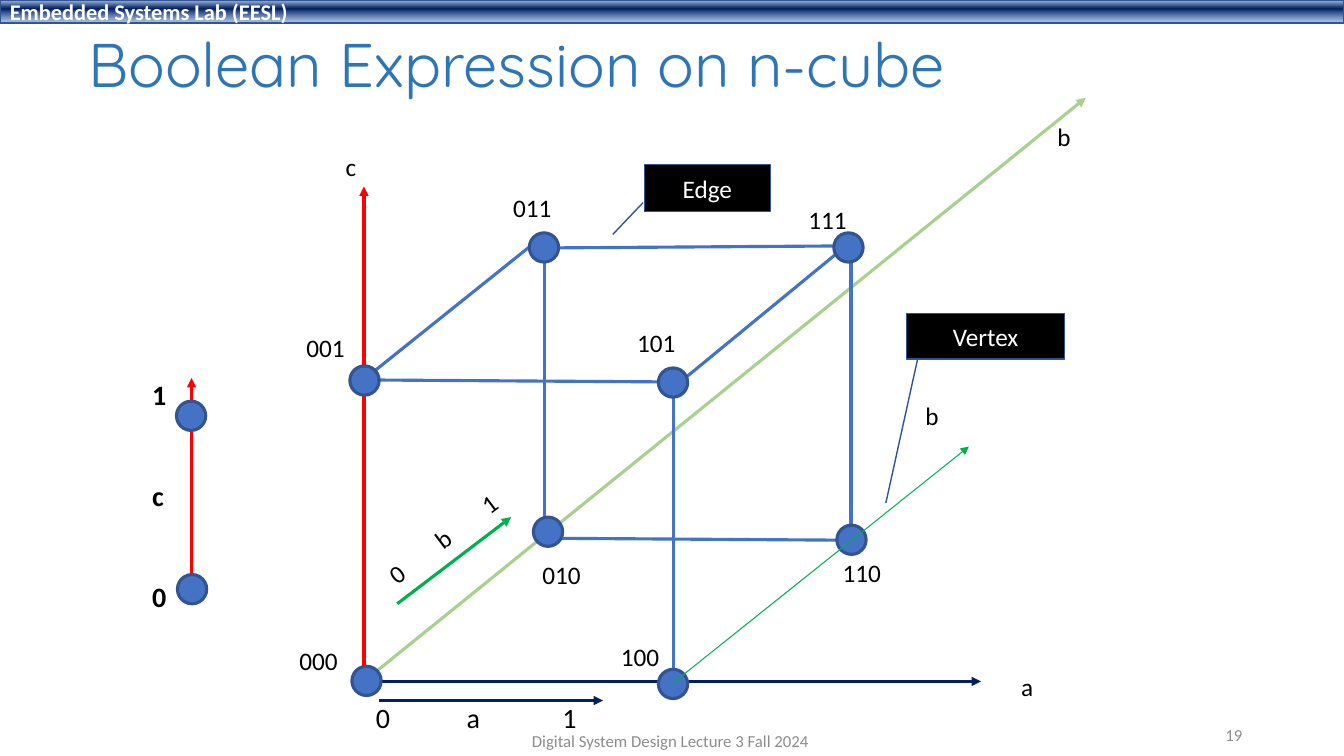
from copy import deepcopy

from lxml import etree
from pptx import Presentation
from pptx import util as u
from pptx.dml.color import RGBColor
from pptx.enum import shapes, text
from pptx.oxml.ns import qn

COLORS = {
    "navy": "002060", "title": "2E75B6", "grey": "8C8C8C", "black": "000000",
    "white": "FFFFFF", "red": "FF0000", "blue": "4472C4", "outline": "325491",
    "green": "00B050", "light green": "A9D18E",
    "bar top": "ABC0E4", "bar bottom": "7E9ED6",
}
BAR_STOPS = [("bar top", 0.02), ("navy", 0.38), ("bar bottom", 0.93)]
DOT = 0.29

# vertex code: (left, top of dot), (left, top of label)
VERTICES = {
    "000": ((3.49, 6.61), (2.87, 6.35)),
    "100": ((6.53, 6.64), (6.06, 6.31)),
    "010": ((5.29, 5.13), (5.28, 5.5)),
    "110": ((8.3, 5.21), (8.26, 5.48)),
    "001": ((3.47, 3.63), (2.94, 3.25)),
    "101": ((6.53, 3.65), (6.22, 3.2)),
    "011": ((5.25, 2.31), (4.99, 1.86)),
    "111": ((8.27, 2.31), (7.92, 1.98)),
}
EDGES = [
    ((6.68, 3.94), (6.68, 6.78)), ((8.44, 2.51), (8.44, 5.35)),
    ((5.4, 2.47), (5.4, 5.3)), ((3.69, 3.77), (6.75, 3.79)),
    ((5.4, 2.46), (8.35, 2.44)), ((5.44, 5.34), (8.5, 5.36)),
    ((3.69, 3.7), (5.25, 2.45)), ((6.65, 3.87), (8.39, 2.44)),
]
ARROWS = [
    ((3.61, 6.76), (3.61, 1.85), "red"),
    ((3.63, 6.76), (9.73, 6.76), "navy"),
    ((3.61, 6.76), (10.77, 0.97), "light green"),
    ((1.9, 5.87), (1.9, 3.75), "red"),
    ((3.76, 6.95), (5.98, 6.95), "navy"),
    ((3.94, 5.99), (5.07, 5.13), "green"),
]
AXIS_NAMES = [("a", 10.03, 6.61), ("b", 10.39, 1.15), ("b", 9.08, 3.92), ("c", 3.33, 1.45)]
AXIS_DOTS = [(1.76, 5.7), (1.75, 3.98)]
CALLOUTS = [
    ("Vertex", (8.99, 3.11, 1.57, 0.45), (1.02, 0.07, 4.18, -0.13)),
    ("Edge", (6.39, 1.63, 1.25, 0.47), (0.81, -0.01, 1.48, -0.25)),
]


def rgb(name):
    return RGBColor.from_string(COLORS[name])


class Board:
    """Draws on one slide in one style; lengths are in inches."""

    def __init__(self, slide, font="Calibri"):
        self.shapes = slide.shapes
        self.font = font

    def fill_text(self, sp, lines, size=18, color="black", bold=False, font=None,
                  align=text.PP_ALIGN.LEFT, anchor=text.MSO_ANCHOR.TOP,
                  wrap=True, gap=0, spacing=None, tabs=()):
        tf = sp.text_frame
        tf.word_wrap, tf.vertical_anchor = wrap, anchor
        look = {"name": font or self.font, "size": u.Pt(size), "bold": bold}
        for i, line in enumerate(lines):
            p = tf.add_paragraph() if i else tf.paragraphs[0]
            p.alignment = align
            if spacing:
                p.line_spacing = spacing
            if i and gap:
                p.space_before = u.Pt(gap)
            if tabs:
                stops = etree.SubElement(p._p.get_or_add_pPr(), qn("a:tabLst"))
                for tab in tabs:
                    etree.SubElement(stops, qn("a:tab"), pos=str(u.Inches(tab)), algn="l")
            r = p.add_run()
            r.text = line
            for key, value in look.items():
                setattr(r.font, key, value)
            r.font.color.rgb = rgb(color)

    def label(self, box, *lines, rotation=0, **style):
        sp = self.shapes.add_textbox(*map(u.Inches, box))
        sp.rotation = rotation
        self.fill_text(sp, lines, **style)

    def shape(self, kind, box, fill, width=1.0):
        sp = self.shapes.add_shape(kind, *map(u.Inches, box))
        sp.shadow.inherit = False
        sp.fill.solid()
        sp.fill.fore_color.rgb = rgb(fill)
        sp.line.color.rgb = rgb("outline")
        sp.line.width = u.Pt(width)
        return sp

    def dot(self, left, top):
        self.shape(shapes.MSO_SHAPE.OVAL, (left, top, DOT, DOT), "blue", 2.25)

    def line(self, start, end, color, width=2.25, arrow=False):
        cx = self.shapes.add_connector(
            shapes.MSO_CONNECTOR.STRAIGHT, *map(u.Inches, start + end))
        cx.line.color.rgb = rgb(color)
        cx.line.width = u.Pt(width)
        if arrow:
            etree.SubElement(cx.line._get_or_add_ln(), qn("a:tailEnd"), type="triangle")
        etree.SubElement(cx._element.spPr, qn("a:effectLst"))

    def callout(self, name, box, adjustments):
        sp = self.shape(shapes.MSO_SHAPE.LINE_CALLOUT_1, box, "black")
        for i, value in enumerate(adjustments):
            sp.adjustments[i] = value
        self.fill_text(sp, [name], color="white", align=text.PP_ALIGN.CENTER,
                       anchor=text.MSO_ANCHOR.MIDDLE)

    def header_bar(self, title):
        sp = self.shape(shapes.MSO_SHAPE.RECTANGLE, (0, 0, 13.33, 0.23), "navy")
        sp.fill.gradient()
        sp.fill.gradient_angle = 270
        stops = sp._element.spPr.find(".//" + qn("a:gsLst"))
        stops.append(deepcopy(stops[0]))
        for stop, (color, position) in zip(sp.fill.gradient_stops, BAR_STOPS):
            stop.color.rgb = rgb(color)
            stop.position = position
        etree.SubElement(stops[-1][0], qn("a:alpha"), val="64000")
        self.fill_text(sp, [title], size=16, color="white", bold=True,
                       anchor=text.MSO_ANCHOR.MIDDLE)


def main():
    prs = Presentation()
    prs.slide_width, prs.slide_height = u.Inches(13.33), u.Inches(7.5)
    s = Board(prs.slides.add_slide(prs.slide_layouts[6]))
    middle = text.MSO_ANCHOR.MIDDLE

    s.header_bar("Embedded Systems Lab (EESL)")
    s.label((0.78, 0.12, 11.5, 1.1), "Boolean Expression on n-cube", size=44,
            color="title", font="Quicksand", anchor=middle, spacing=0.9)
    s.label((4.4, 7.15, 4.5, 0.4), "Digital System Design Lecture 3 Fall 2024",
            size=12, color="grey", align=text.PP_ALIGN.CENTER, anchor=middle)
    s.label((9.42, 7.09, 3, 0.4), "19", size=12, color="grey",
            align=text.PP_ALIGN.RIGHT, anchor=middle)

    for start, end, color in ARROWS:
        s.line(start, end, color, arrow=True)
    for start, end in EDGES:
        s.line(start, end, "blue")
    for code, (dot, label) in VERTICES.items():
        s.dot(*dot)
        s.label((*label, 0.59, 0.4), code, wrap=False)
    s.line((6.67, 6.78), (9.61, 4.43), "green", 0.75, arrow=True)
    for dot in AXIS_DOTS:
        s.dot(*dot)

    for name, left, top in AXIS_NAMES:
        s.label((left, top, 0.33, 0.4), name, wrap=False)
    s.label((1.41, 3.7, 0.34, 2.46), "1", "c", "0", size=20, bold=True,
            wrap=False, gap=48)
    s.label((3.63, 6.9, 2.2, 0.44), "0\ta\t1", size=20, tabs=(0.9, 1.85))
    s.label((3.65, 5.13, 1.52, 0.4), "0\tb\t1", rotation=322.9, tabs=(0.57, 1.15))
    for callout in CALLOUTS:
        s.callout(*callout)

    prs.save("out.pptx")


if __name__ == "__main__":
    main()
